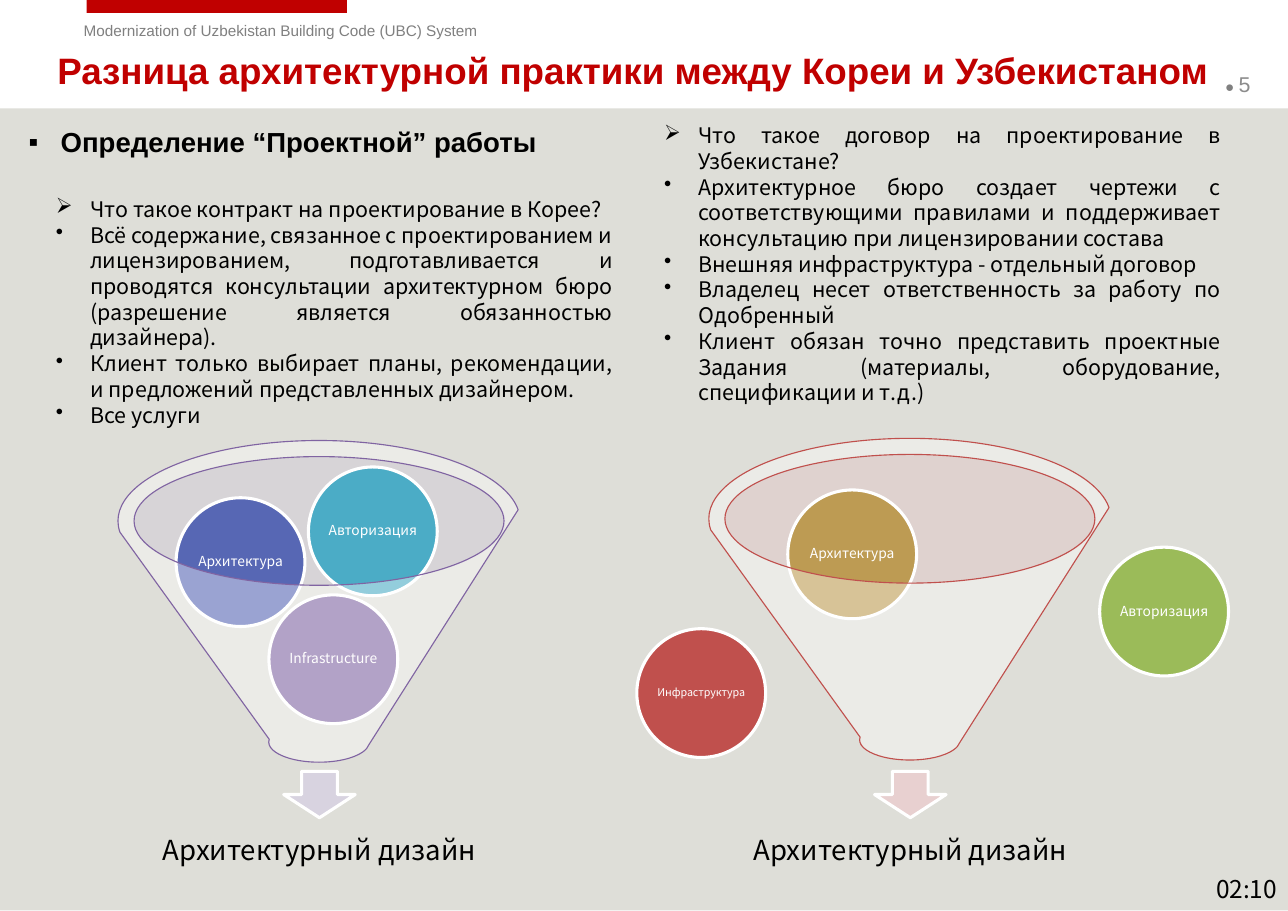
from lxml.etree import SubElement
from pptx import Presentation
from pptx.dml.color import RGBColor
from pptx.enum.shapes import MSO_SHAPE
from pptx.enum.text import MSO_ANCHOR, MSO_AUTO_SIZE, PP_ALIGN
from pptx.oxml.ns import qn
from pptx.util import Cm, Pt

SANS = "Noto Sans CJK KR"
GREY = "808080"


def paint(fill, colour, opacity=100):
    fill.solid()
    fill.fore_color.rgb = RGBColor.from_string(colour)
    if opacity < 100:
        tint = fill._xPr.find(qn("a:solidFill"))[0]
        SubElement(tint, qn("a:alpha"), val=str(opacity * 1000))


def write(shape, lines, size, colour="000000", font=SANS, bold=False,
          align=PP_ALIGN.LEFT, anchor=MSO_ANCHOR.TOP, inset=(0.25, 0.13),
          bullets="", indent=0, spacing=1.0, wrap=True):
    frame = shape.text_frame
    frame.text = "\n".join(lines)
    frame.word_wrap = wrap
    frame.auto_size = MSO_AUTO_SIZE.NONE
    frame.vertical_anchor = anchor
    frame.margin_left = frame.margin_right = Cm(inset[0])
    frame.margin_top = frame.margin_bottom = Cm(inset[1])
    for number, para in enumerate(frame.paragraphs):
        properties = para._p.get_or_add_pPr()
        properties.set("marL", str(Cm(indent)))
        properties.set("indent", str(-Cm(indent)))
        if bullets:
            mark = bullets[min(number, len(bullets) - 1)]
            SubElement(properties, qn("a:buChar"), char=mark)
        else:
            SubElement(properties, qn("a:buNone"))
        para.alignment = align
        para.line_spacing = spacing
        para.space_before = Pt(0)
        for span in para.runs:
            span.font.name = font
            span.font.size = Pt(size)
            span.font.bold = bold
            paint(span.font.fill, colour)


deck = Presentation()
deck.slide_width, deck.slide_height = Cm(29.69), Cm(21.01)
page = deck.slides.add_slide(deck.slide_layouts[1])
title, body = page.shapes.title, page.placeholders[1]

bands = [("DEDED8", 0, 2.5, 29.69, 18.5), ("C00000", 2, 0, 6, 0.3)]
for colour, *place in bands:
    band = page.shapes.add_shape(MSO_SHAPE.RECTANGLE, *map(Cm, place))
    band.shadow.inherit = False
    paint(band.fill, colour)
    band.line.fill.background()
    title.element.addprevious(band.element)

title.left, title.top, title.width, title.height = map(Cm, (1.04, 1.09, 28.02, 1.02))
write(title, ["Разница архитектурной практики между Кореи и Узбекистаном"], 24,
      "C00000", "Arial", True, anchor=MSO_ANCHOR.MIDDLE, inset=(0.28, 0.15))
body.left, body.top, body.width, body.height = map(Cm, (0.38, 2.74, 28.91, 2.21))
write(body, ["Определение “Проектной” работы"], 18, font="Arial", bold=True,
      inset=(0.28, 0.15), bullets="▪", indent=0.74)

header = page.shapes.add_textbox(Cm(1.68), Cm(0.36), Cm(11.89), Cm(0.69))
write(header, ["Modernization of Uzbekistan Building Code (UBC) System"], 10, GREY, "Arial")

counter = page.shapes.add_textbox(Cm(27.96), Cm(1.37), Cm(1.73), Cm(1.12))
write(counter, ["● "], 10, GREY, "Arial", anchor=MSO_ANCHOR.MIDDLE, inset=(0.28, 0.15))
digit = counter.text_frame.paragraphs[0].add_run()
digit.text = "5"
digit.font.name, digit.font.size = "Arial", Pt(14)
paint(digit.font.fill, "8C8C8C")

funnels = [
    (2.72, 10.16, "8064A2", "CDC6D7", "D8D3E0", [
        ("Infrastructure", 6.2, 13.72, "8064A2", 9),
        ("Архитектура", 4.06, 11.48, "5767B4", 9),
        ("Авторизация", 7.11, 10.77, "4BACC6", 9),
    ]),
    (16.34, 10.11, "C0504D", "E2C2C2", "E8D0D0", [
        ("Инфраструктура", 14.68, 14.5, "C0504D", 7),
        ("Архитектура", 18.16, 11.3, "BD9B53", 9),
        ("Авторизация", 25.35, 12.62, "9BBB59", 9),
    ]),
]
for left, top, outline, bowl_colour, arrow_colour, balls in funnels:
    bowl = page.shapes.add_shape(
        MSO_SHAPE.OVAL, Cm(left + 0.37), Cm(top + 0.38), Cm(8.56), Cm(2.97))
    bowl.shadow.inherit = False
    paint(bowl.fill, bowl_colour, 40)
    bowl.line.fill.background()

    arrow = page.shapes.add_shape(
        MSO_SHAPE.DOWN_ARROW, Cm(left + 3.82), Cm(17.79), Cm(1.65), Cm(1.07))
    arrow.shadow.inherit = False
    paint(arrow.fill, arrow_colour)
    paint(arrow.line.fill, "FFFFFF")
    arrow.line.width = Pt(2)

    result = page.shapes.add_textbox(Cm(left + 0.67), Cm(18.64), Cm(7.95), Cm(1.98))
    write(result, ["Архитектурный дизайн"], 18, align=PP_ALIGN.CENTER,
          anchor=MSO_ANCHOR.MIDDLE, inset=(0.36, 0.36), spacing=0.9)

    for name, ball_left, ball_top, colour, size in balls:
        ball = page.shapes.add_shape(
            MSO_SHAPE.OVAL, Cm(ball_left), Cm(ball_top), Cm(2.97), Cm(2.97))
        ball.shadow.inherit = False
        paint(ball.fill, colour)
        paint(ball.line.fill, "FFFFFF")
        ball.line.width = Pt(2)
        write(ball, [name], size, "FFFFFF", align=PP_ALIGN.CENTER,
              anchor=MSO_ANCHOR.MIDDLE, inset=(0.03, 0.03), spacing=0.9, wrap=False)

    funnel = page.shapes.add_shape(
        MSO_SHAPE.FUNNEL, Cm(left), Cm(top), Cm(9.27), Cm(7.42))
    funnel.shadow.inherit = False
    paint(funnel.fill, "FFFFFF", 40)
    paint(funnel.line.fill, outline)
    funnel.line.width = Pt(0.75)

contracts = [
    (1.04, 4.39, 6.25, [
        "Что такое контракт на проектирование в Корее?",
        "Всё содержание, связанное с проектированием и лицензированием, "
        "подготавливается и проводятся консультации архитектурном бюро "
        "(разрешение является обязанностью дизайнера).",
        "Клиент только выбирает планы, рекомендации, и предложений "
        "представленных дизайнером.",
        "Все услуги",
    ]),
    (15.06, 2.69, 7.44, [
        "Что такое договор на проектирование в Узбекистане?",
        "Архитектурное бюро создает чертежи с соответствующими правилами и "
        "поддерживает консультацию при лицензировании состава",
        "Внешняя инфраструктура - отдельный договор",
        "Владелец несет ответственность за работу по Одобренный",
        "Клиент обязан точно представить проектные Задания (материалы, "
        "оборудование, спецификации и т.д.)",
    ]),
]
for left, top, height, lines in contracts:
    contract = page.shapes.add_textbox(Cm(left), Cm(top), Cm(13.34), Cm(height))
    write(contract, lines, 14, align=PP_ALIGN.JUSTIFY, bullets="➢•", indent=0.79)

clock = page.shapes.add_textbox(Cm(26.06), Cm(20.02), Cm(3.63), Cm(0.94))
write(clock, ["02:10"], 16, align=PP_ALIGN.RIGHT)

deck.save("out.pptx")
